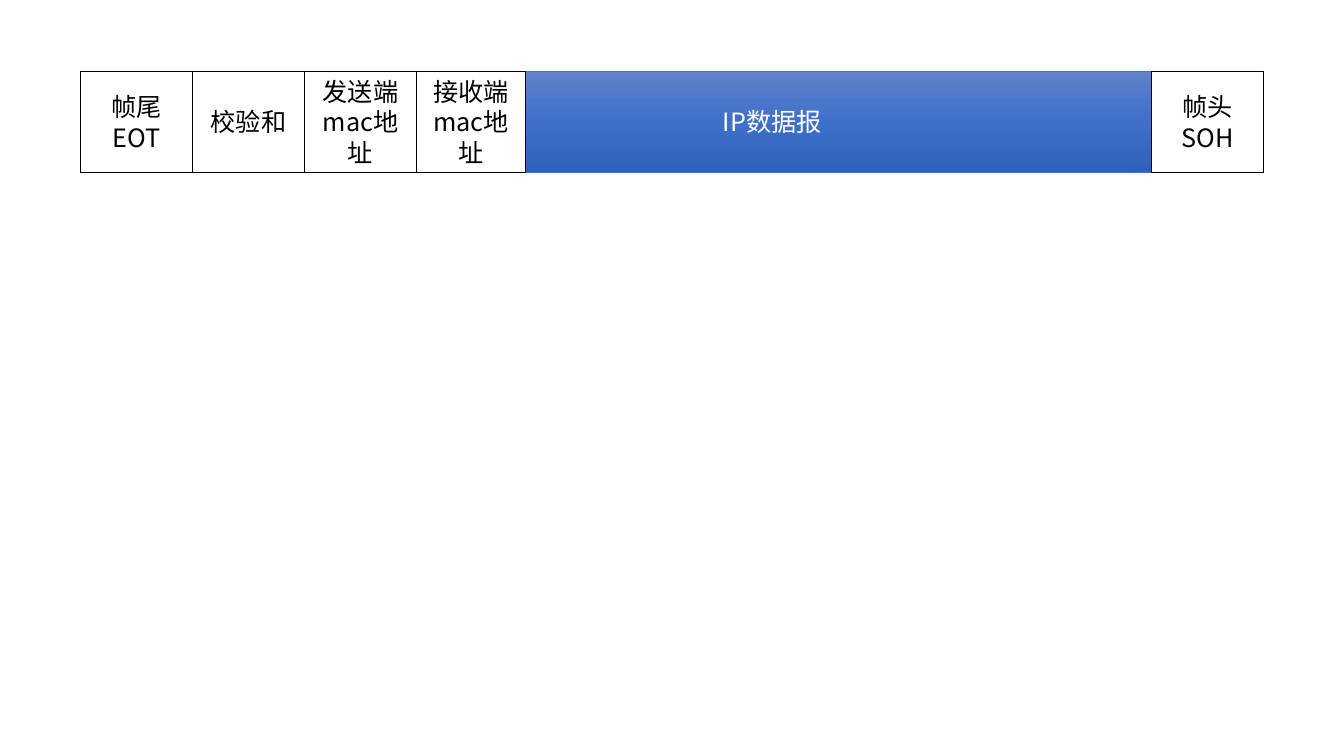
import copy

import lxml.etree
import pptx
import pptx.dml.color
import pptx.enum.shapes
import pptx.enum.text
import pptx.oxml.ns
import pptx.util

Inches = pptx.util.Inches
Pt = pptx.util.Pt
qn = pptx.oxml.ns.qn

FONT = "Noto Sans CJK SC"
COLORS = {
    "white": "FFFFFF",
    "black": "000000",
    "blue_line": "4472C4",
    "blue_top": "6183CB",
    "blue_middle": "3E70CA",
    "blue_bottom": "3062BB",
}
FRAME_LEFT, FRAME_TOP = 0.8, 0.71
FRAME_WIDTH, FRAME_HEIGHT = 11.73, 1
FIELD_WIDTH = 1.11


def rgb(name):
    return pptx.dml.color.RGBColor.from_string(COLORS[name])


def add_text(s, text, color):
    tf = s.text_frame
    tf.word_wrap = True
    tf.vertical_anchor = pptx.enum.text.MSO_ANCHOR.MIDDLE
    tf.text = text
    for p in tf.paragraphs:
        p.alignment = pptx.enum.text.PP_ALIGN.CENTER
        p.font.size = Pt(18)
        p.font.color.rgb = rgb(color)
        p.font.name = FONT
        props = p._p.pPr.find(qn("a:defRPr"))
        lxml.etree.SubElement(props, qn("a:ea"), typeface=FONT)


def add_box(slide, left, width, text, text_color, line_color, line_width):
    s = slide.shapes.add_shape(
        pptx.enum.shapes.MSO_SHAPE.RECTANGLE,
        Inches(left), Inches(FRAME_TOP), Inches(width), Inches(FRAME_HEIGHT))
    s.shadow.inherit = False
    s.line.color.rgb = rgb(line_color)
    s.line.width = Pt(line_width)
    add_text(s, text, text_color)
    return s


def add_field(slide, left, width, text):
    s = add_box(slide, left, width, text, "black", "black", 1)
    s.fill.solid()
    s.fill.fore_color.rgb = rgb("white")


def fill_gradient(s, names):
    s.fill.gradient()
    s.fill.gradient_angle = 270
    stop_list = s._element.spPr.find(qn("a:gradFill")).find(qn("a:gsLst"))
    stop_list.append(copy.deepcopy(stop_list[-1]))
    for i, (stop, name) in enumerate(zip(s.fill.gradient_stops, names)):
        stop.position = i / (len(names) - 1)
        stop.color.rgb = rgb(name)


def add_datagram(slide):
    s = add_box(slide, FRAME_LEFT, FRAME_WIDTH, "IP数据报", "white", "blue_line", 0.5)
    s.text_frame.margin_left = Inches(2.09)
    fill_gradient(s, ["blue_top", "blue_middle", "blue_bottom"])


def main():
    prs = pptx.Presentation()
    prs.slide_width, prs.slide_height = Inches(13.33), Inches(7.5)
    slide = prs.slides.add_slide(prs.slide_layouts[6])

    add_datagram(slide)
    left = FRAME_LEFT
    for text, width in [
        ("帧尾\nEOT", FIELD_WIDTH),
        ("校验和", FIELD_WIDTH),
        ("发送端mac地址", FIELD_WIDTH),
        ("接收端mac地址", 1.08),
    ]:
        add_field(slide, left, width, text)
        left += width
    add_field(slide, FRAME_LEFT + FRAME_WIDTH - FIELD_WIDTH, FIELD_WIDTH, "帧头\nSOH")

    prs.save("out.pptx")


main()
